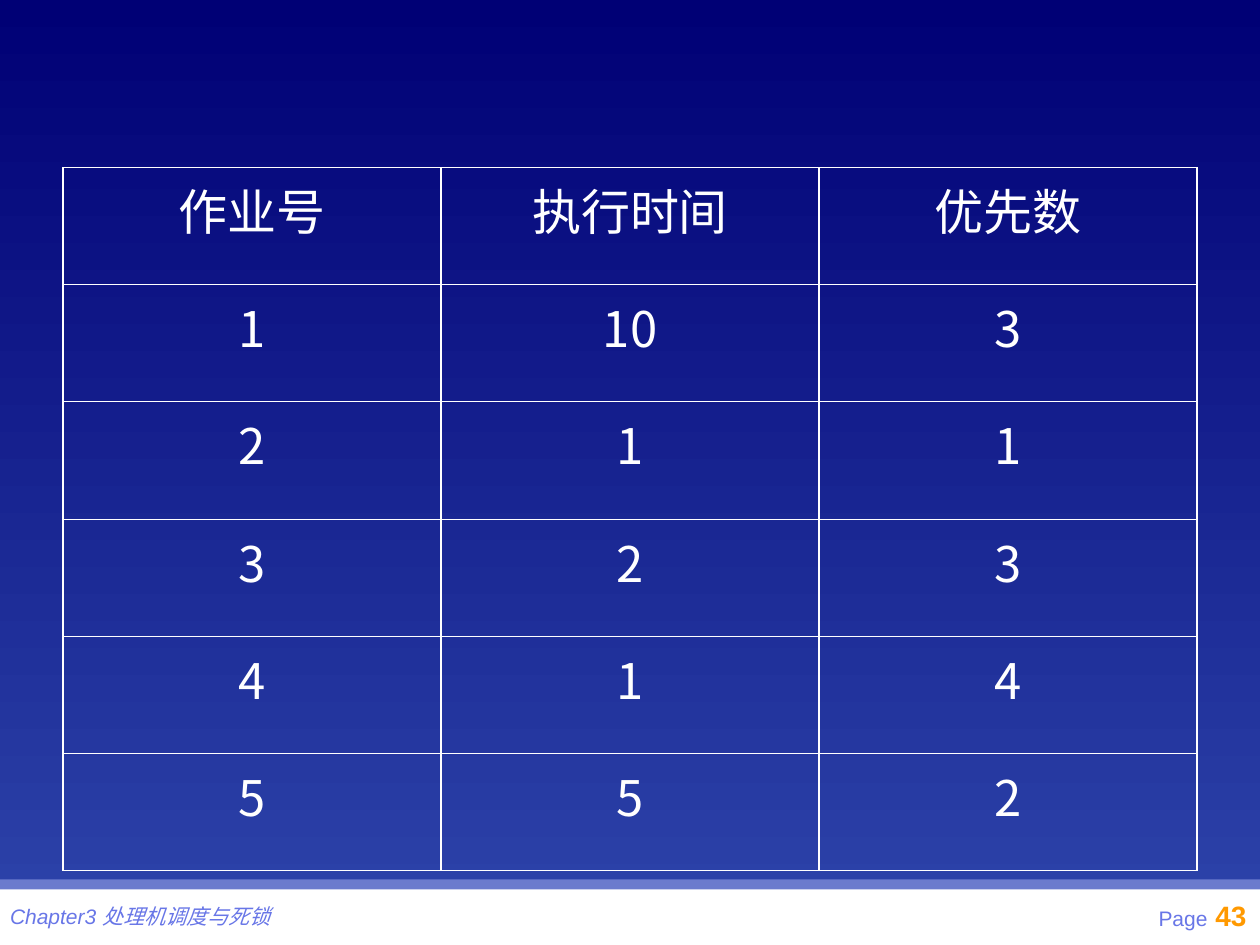
from lxml.etree import SubElement
from pptx import Presentation
from pptx.dml.color import RGBColor
from pptx.enum.shapes import MSO_SHAPE
from pptx.enum.text import PP_ALIGN
from pptx.oxml.ns import qn
from pptx.util import Inches, Pt

CJK = "Noto Sans CJK SC"
ROWS = [
    ("作业号", "执行时间", "优先数"),
    ("1", "10", "3"),
    ("2", "1", "1"),
    ("3", "2", "3"),
    ("4", "1", "4"),
    ("5", "5", "2"),
]


def rgb(value):
    return RGBColor.from_string(value)


def set_background(s, top, bottom):
    fill = s.background.fill
    fill.gradient()
    fill.gradient_angle = 270
    for stop, color in zip(fill.gradient_stops, (top, bottom)):
        stop.color.rgb = rgb(color)


def add_band(s, top, height, color):
    sp = s.shapes.add_shape(MSO_SHAPE.RECTANGLE, 0, Inches(top), Inches(10), Inches(height))
    sp.shadow.inherit = False
    sp.fill.solid()
    sp.fill.fore_color.rgb = rgb(color)
    sp.line.fill.background()


def add_run(p, text, size, color, font="Arial", bold=False, italic=False, shadow=False):
    r = p.add_run()
    r.text = text
    r.font.size = Pt(size)
    r.font.bold = bold
    r.font.italic = italic
    r.font.color.rgb = rgb(color)
    rPr = r._r.get_or_add_rPr()
    if shadow:
        effects = SubElement(rPr, qn("a:effectLst"))
        outer = SubElement(effects, qn("a:outerShdw"), dist="17961", dir="2700000")
        SubElement(outer, qn("a:srgbClr"), val="808080")
    r.font.name = font
    if font != "Arial":
        ea = SubElement(rPr, qn("a:ea"), typeface=font)
        rPr.find(qn("a:latin")).addnext(ea)


def add_text(s, left, top, width, height, inset_x, inset_y, align):
    tf = s.shapes.add_textbox(Inches(left), Inches(top), Inches(width), Inches(height)).text_frame
    tf.word_wrap = True
    tf.margin_left = tf.margin_right = Inches(inset_x)
    tf.margin_top = tf.margin_bottom = Inches(inset_y)
    p = tf.paragraphs[0]
    p.alignment = align
    return p


def set_borders(cell, color, width):
    tcPr = cell._tc.get_or_add_tcPr()
    for index, side in enumerate(("lnL", "lnR", "lnT", "lnB")):
        ln = SubElement(tcPr, qn(f"a:{side}"), w=str(Pt(width)))
        fill = SubElement(ln, qn("a:solidFill"))
        SubElement(fill, qn("a:srgbClr"), val=color)
        tcPr.insert(index, ln)


def add_job_table(s):
    shape = s.shapes.add_table(len(ROWS), len(ROWS[0]), Inches(0.5), Inches(1.33), Inches(9), Inches(5.58))
    table = shape.table
    table.first_row = table.horz_banding = False
    for row, values in enumerate(ROWS):
        for col, value in enumerate(values):
            cell = table.cell(row, col)
            cell.fill.background()
            set_borders(cell, "FFFFFF", 0.75)
            p = cell.text_frame.paragraphs[0]
            p.alignment = PP_ALIGN.CENTER
            p.space_after = Pt(7)
            add_run(p, value, 28, "FFFFFF", CJK)


def add_footer(s):
    add_band(s, 7.04, 0.46, "FFFFFF")
    add_band(s, 6.98, 0.08, "6B7BCD")
    p = add_text(s, 6.32, 7.08, 3.67, 0.4, 0.1, 0.05, PP_ALIGN.RIGHT)
    add_run(p, "Page", 12, "6876E7")
    add_run(p, " ", 16, "FF9900")
    add_run(p, "43", 16, "FF9900", bold=True)
    p = add_text(s, 0.08, 7.17, 2.58, 0.2, 0, 0, PP_ALIGN.LEFT)
    add_run(p, "Chapter3 ", 12, "6876E7", italic=True, shadow=True)
    add_run(p, "处理机调度与死锁", 12, "6876E7", "Comic Neue", italic=True, shadow=True)


def main():
    prs = Presentation()
    prs.slide_width, prs.slide_height = Inches(10), Inches(7.5)
    s = prs.slides.add_slide(prs.slide_layouts[6])
    set_background(s, "000075", "2E45AB")
    add_footer(s)
    add_job_table(s)
    prs.save("out.pptx")


if __name__ == "__main__":
    main()
